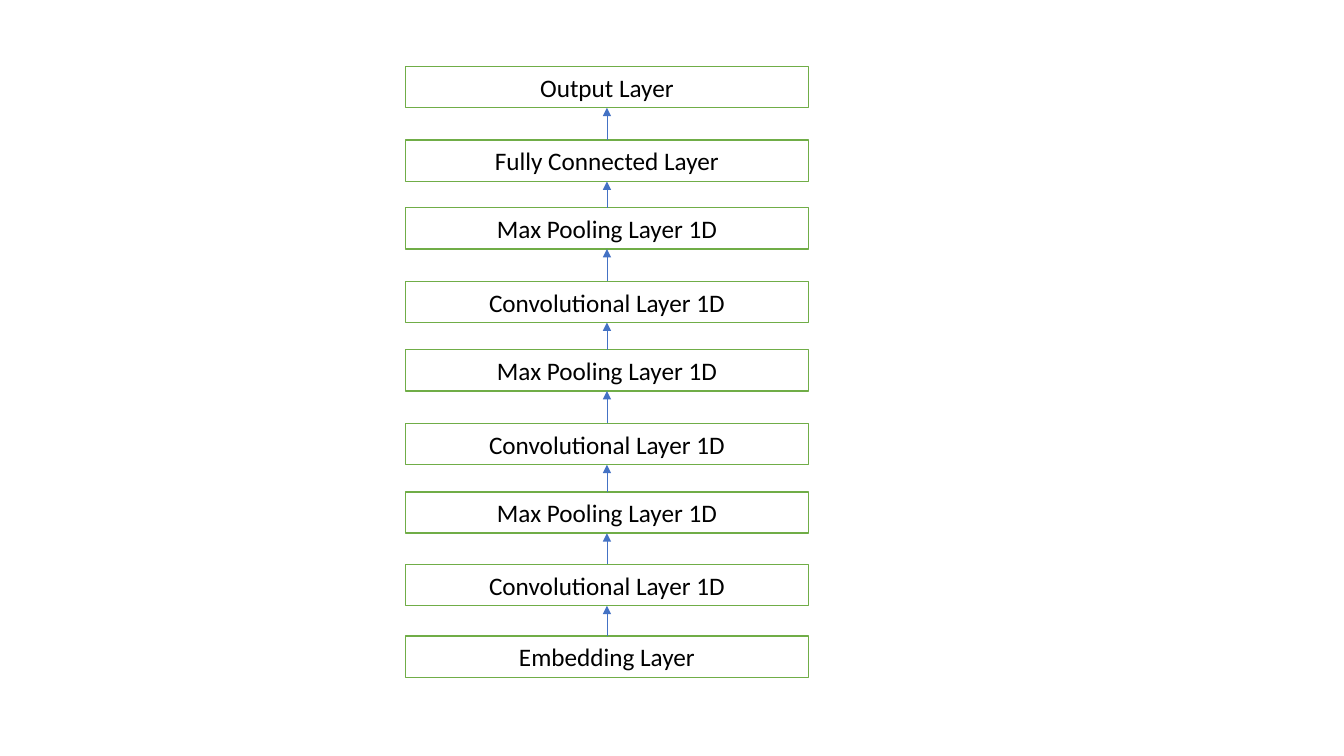
from itertools import pairwise

from lxml.etree import SubElement
from pptx import Presentation
from pptx.dml.color import RGBColor
from pptx.enum.shapes import MSO_CONNECTOR as CONN, MSO_SHAPE as SHAPE
from pptx.enum.text import MSO_ANCHOR as ANCHOR, PP_ALIGN as ALIGN
from pptx.oxml.ns import qn
from pptx.util import Inches, Pt

LEFT, WIDTH, HEIGHT = 4.02, 4, 0.41
TOP_SITE, BOTTOM_SITE = 0, 2

# Network layers from input to output, with the top of each box
LAYERS = [
    ("Embedding Layer", 6.31),
    ("Convolutional Layer 1D", 5.6),
    ("Max Pooling Layer 1D", 4.88),
    ("Convolutional Layer 1D", 4.2),
    ("Max Pooling Layer 1D", 3.47),
    ("Convolutional Layer 1D", 2.79),
    ("Max Pooling Layer 1D", 2.06),
    ("Fully Connected Layer", 1.39),
    ("Output Layer", 0.66),
]


def paint(fmt, color):
    """Give a fill a solid colour from a hex string."""
    fmt.solid()
    fmt.fore_color.rgb = RGBColor.from_string(color)


prs = Presentation()
prs.slide_width, prs.slide_height = Inches(13.33), Inches(7.5)
s = prs.slides.add_slide(prs.slide_layouts[6])

boxes = []
for name, top in LAYERS:
    sp = s.shapes.add_shape(SHAPE.RECTANGLE, Inches(LEFT), Inches(top),
                            Inches(WIDTH), Inches(HEIGHT))
    sp.shadow.inherit = False
    paint(sp.fill, "FFFFFF")
    paint(sp.line.fill, "70AD47")
    sp.line.width = Pt(1)
    tf = sp.text_frame
    tf.text = name
    tf.vertical_anchor = ANCHOR.MIDDLE
    p = tf.paragraphs[0]
    p.alignment = ALIGN.CENTER
    r = p.runs[0]
    r.font.name, r.font.size = "Calibri", Pt(18)
    paint(r.font.fill, "000000")
    boxes.append(sp)

# An arrow leads from each layer up to the next
for lower, upper in pairwise(boxes):
    arrow = s.shapes.add_connector(CONN.STRAIGHT, 0, 0, 0, 0)
    arrow.begin_connect(lower, TOP_SITE)
    arrow.end_connect(upper, BOTTOM_SITE)
    paint(arrow.line.fill, "4472C4")
    arrow.line.width = Pt(0.5)
    SubElement(arrow.line._get_or_add_ln(), qn("a:tailEnd"), type="triangle")
    SubElement(arrow._element.spPr, qn("a:effectLst"))

prs.save("out.pptx")
